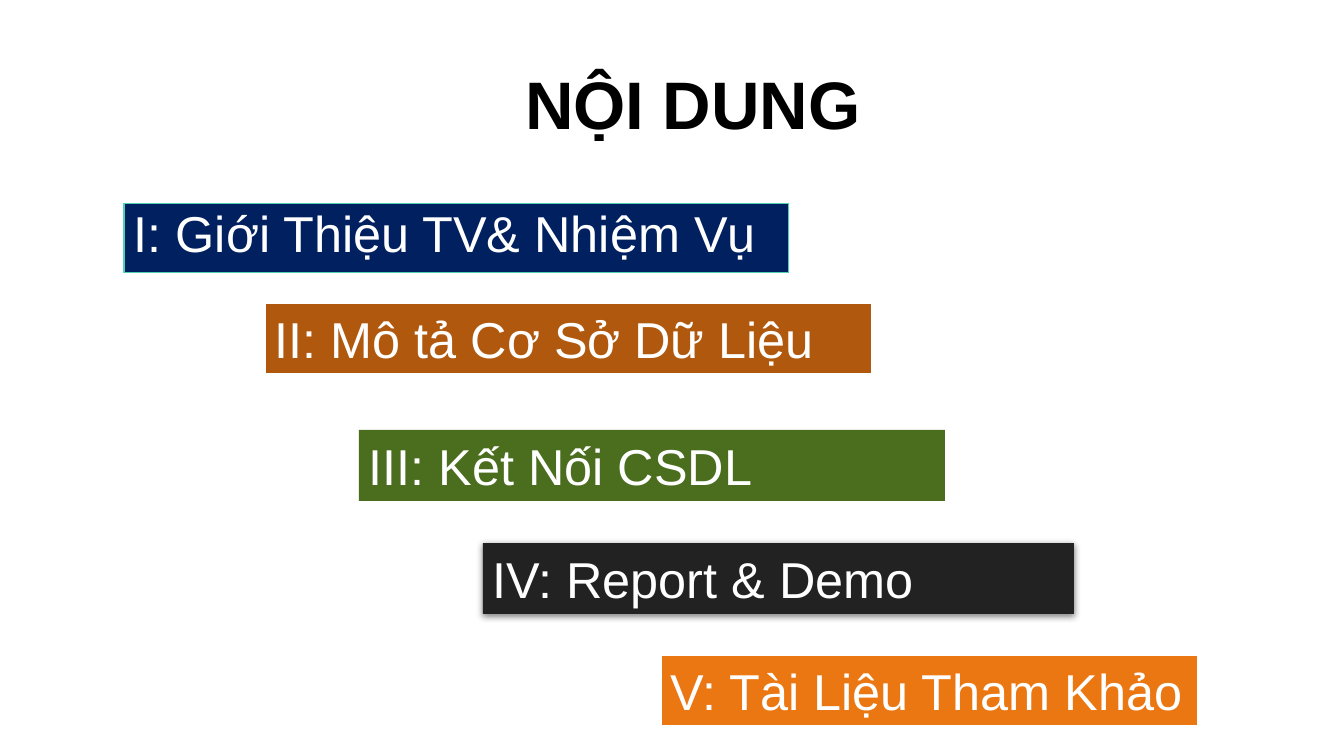
from lxml.etree import SubElement
from pptx import Presentation
from pptx.dml.color import RGBColor
from pptx.enum.shapes import MSO_SHAPE
from pptx.enum.text import MSO_ANCHOR, MSO_AUTO_SIZE, PP_ALIGN
from pptx.oxml.ns import qn
from pptx.util import Pt

EMU_PER_PX = 914400 / 100.8
FONT = "Arial"
BLACK = RGBColor(0x00, 0x00, 0x00)
WHITE = RGBColor(0xFF, 0xFF, 0xFF)
NAVY = RGBColor(0x00, 0x20, 0x60)
TEAL = RGBColor(0x50, 0xCF, 0xB4)
BROWN = RGBColor(0xB0, 0x59, 0x0E)
GREEN = RGBColor(0x4A, 0x6E, 0x1E)
CHARCOAL = RGBColor(0x22, 0x22, 0x22)
ORANGE = RGBColor(0xEB, 0x77, 0x12)


def px(length):
    return round(length * EMU_PER_PX)


def write_text(frame, text, size=36, color=WHITE, bold=False,
               align=PP_ALIGN.LEFT, anchor=MSO_ANCHOR.TOP,
               line_spacing=None, wrap=True, grow=False):
    frame.word_wrap = wrap
    frame.vertical_anchor = anchor
    frame.auto_size = MSO_AUTO_SIZE.SHAPE_TO_FIT_TEXT if grow else MSO_AUTO_SIZE.NONE
    paragraph = frame.paragraphs[0]
    paragraph.alignment = align
    paragraph.line_spacing = line_spacing
    run = paragraph.add_run()
    run.text = text
    run.font.name = FONT
    run.font.size = Pt(size)
    run.font.bold = bold
    run.font.color.rgb = color


def add_title(slide, text, left, top, width, height):
    title = slide.shapes.add_textbox(px(left), px(top), px(width), px(height))
    write_text(title.text_frame, text, size=48, color=BLACK, bold=True,
               align=PP_ALIGN.RIGHT, anchor=MSO_ANCHOR.MIDDLE, line_spacing=0.9)


def add_section(slide, text, box, fill, outline=None, outline_width=1.5, **text_format):
    """Add one coloured agenda bar and return it."""
    section = slide.shapes.add_shape(MSO_SHAPE.RECTANGLE, *map(px, box))
    section.shadow.inherit = False
    section.fill.solid()
    section.fill.fore_color.rgb = fill
    if outline is None:
        section.line.fill.background()
    else:
        section.line.color.rgb = outline
        section.line.width = Pt(outline_width)
    write_text(section.text_frame, text, **text_format)
    return section


def add_drop_shadow(section):
    effects = section._element.spPr.find(qn("a:effectLst"))
    shadow = SubElement(effects, qn("a:outerShdw"), blurRad=str(Pt(4.5)),
                        dist=str(Pt(1.5)), dir="5400000", rotWithShape="0")
    color = SubElement(shadow, qn("a:srgbClr"), val=str(BLACK))
    SubElement(color, qn("a:alpha"), val="48000")


def main():
    deck = Presentation()
    deck.slide_width, deck.slide_height = px(1344), px(756)
    slide = deck.slides.add_slide(deck.slide_layouts[6])

    add_title(slide, "NỘI DUNG", 451, 11, 420, 194)
    add_section(slide, "I: Giới Thiệu TV& Nhiệm Vụ", (124, 204, 665, 69), NAVY,
                outline=TEAL, outline_width=0.75, line_spacing=0.9)
    add_section(slide, "II: Mô tả Cơ Sở Dữ Liệu", (265, 303, 607, 71), BROWN,
                outline=WHITE, grow=True)
    add_section(slide, "III: Kết Nối CSDL", (359, 430, 586, 71), GREEN, grow=True)
    report = add_section(slide, "IV: Report & Demo", (483, 543, 591, 71), CHARCOAL,
                         grow=True)
    add_drop_shadow(report)
    add_section(slide, "V: Tài Liệu Tham Khảo", (661, 655, 537, 71), ORANGE,
                outline=WHITE, wrap=False, grow=True)

    deck.save("out.pptx")


if __name__ == "__main__":
    main()
